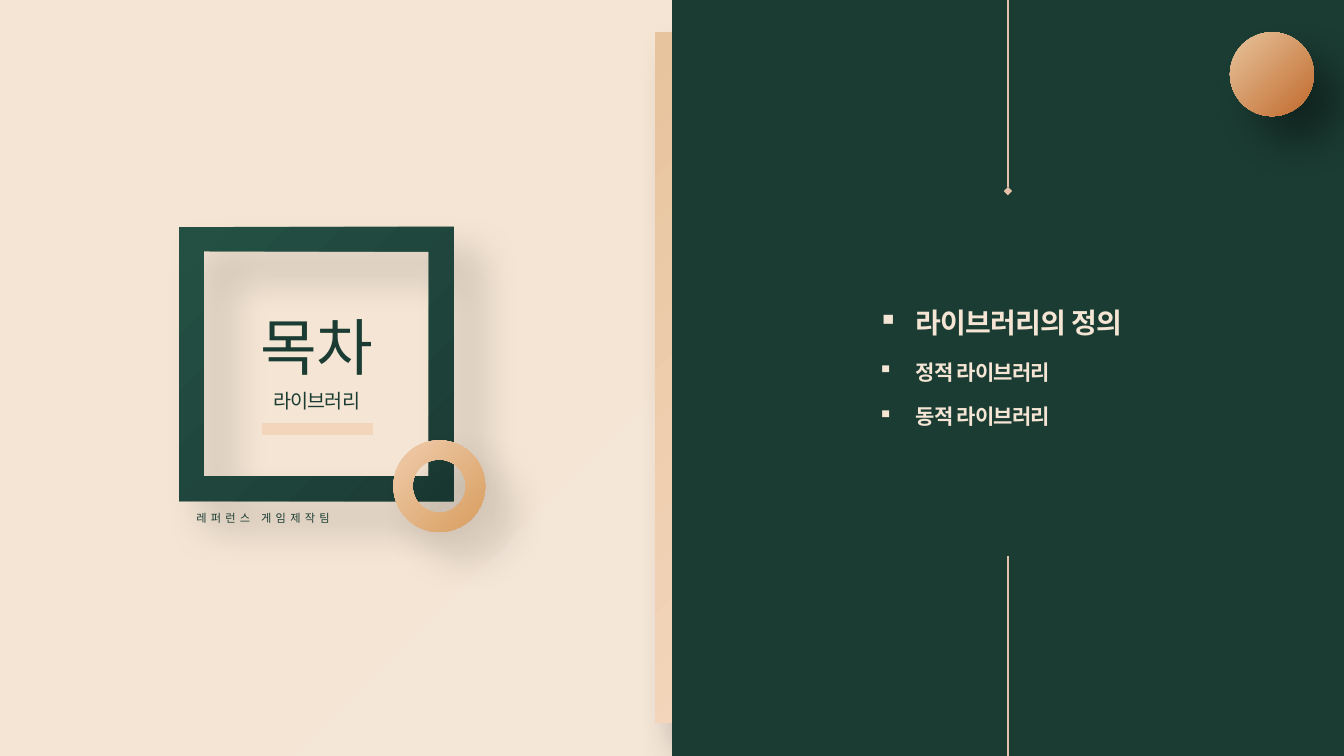
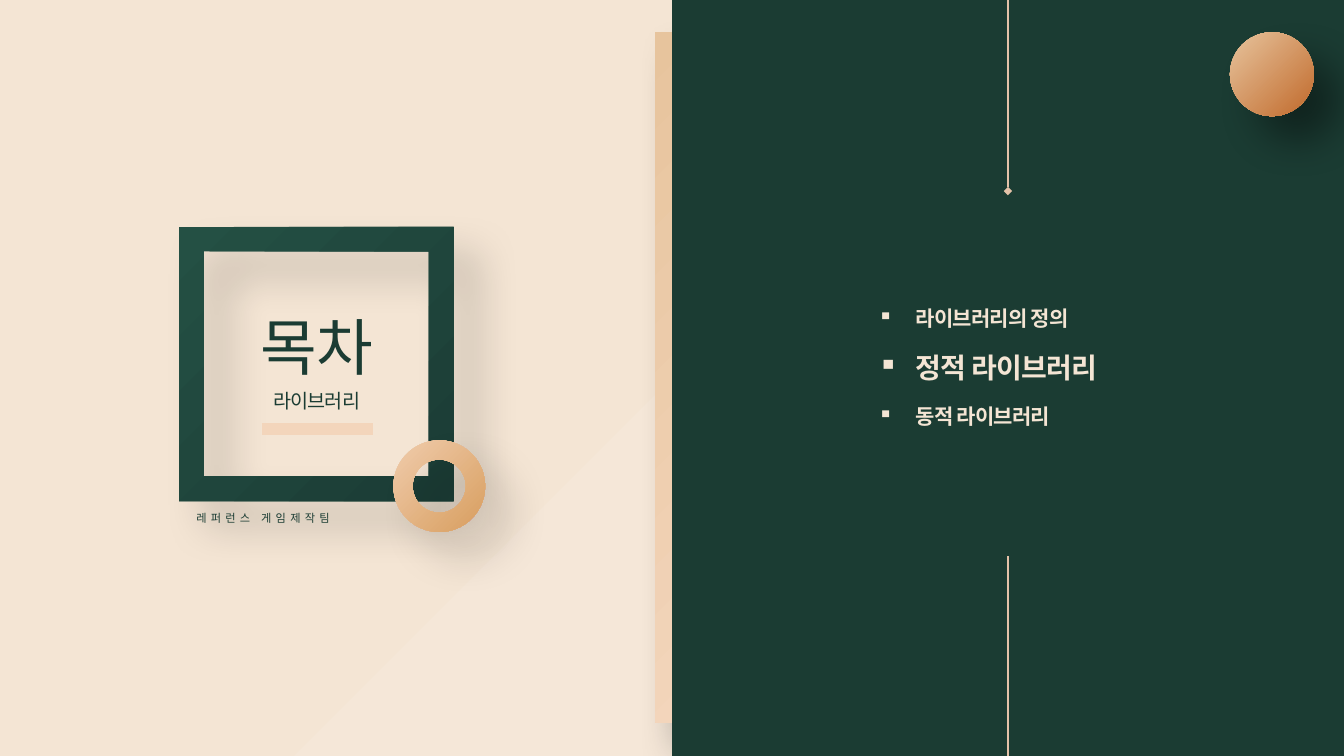
from dataclasses import dataclass

from pptx import Presentation
from pptx.dml.color import RGBColor
from pptx.enum import shapes, text
from pptx.oxml import ns, xmlchemy
from pptx.util import Pt


@dataclass(frozen=True)
class Theme:
    font: str = "Noto Sans CJK KR"
    paper: tuple = ("F5E7D8", "F4E5D4")
    panel: tuple = ("1B3C35", "1B3C33")
    spine: tuple = ("E7C49D", "F3D5BB")
    frame: tuple = ("245044", "1B3C35")
    ring: tuple = ("F0CCAC", "D89E5F")
    ball: tuple = ("E7C49D", "C16A2C")
    dark: str = "1B3C33"
    light: str = "F4E5D4"
    rule: str = "E4C2A9"
    underline: str = "F3D5BB"
    caption_size: int = 8
    subtitle_size: int = 14
    title_size: int = 44
    item_size: int = 15
    current_size: int = 20
    strong_shadow: int = 40
    soft_shadow: int = 17


THEME = Theme()
WIDTH, HEIGHT = 960, 540
TOPICS = ("라이브러리의 정의", "정적 라이브러리", "동적 라이브러리")


def add_xml(parent, tag, **attributes):
    child = xmlchemy.OxmlElement(tag)
    for name, value in attributes.items():
        child.set(name, str(value))
    parent.append(child)
    return child


def set_gradient(fill, owner, colors, radial=False):
    """Blend two colours to the lower right, or around that corner if radial."""
    fill.gradient()
    fill.gradient_angle = 315
    for stop, color in zip(fill.gradient_stops, colors):
        stop.color.rgb = RGBColor.from_string(color)
    if radial:
        linear = next(owner.iter(ns.qn("a:lin")))
        gradient = linear.getparent()
        gradient.remove(linear)
        circle = add_xml(gradient, "a:path", path="circle")
        add_xml(circle, "a:fillToRect", l=100000, t=100000)


def add_shadow(shape, opacity):
    effects = shape._element.spPr.find(ns.qn("a:effectLst"))
    shadow = add_xml(effects, "a:outerShdw", blurRad=Pt(30), dist=Pt(26),
                     dir=45 * 60000, algn="tl", rotWithShape=0)
    color = add_xml(shadow, "a:srgbClr", val="000000")
    add_xml(color, "a:alpha", val=opacity * 1000)


def add_gradient_shape(slide, kind, box, colors, opacity=0, adjustment=None,
                       radial=False):
    shape = slide.shapes.add_shape(kind, *map(Pt, box))
    shape.shadow.inherit = False
    shape.line.fill.background()
    set_gradient(shape.fill, shape._element, colors, radial)
    if adjustment is not None:
        shape.adjustments[0] = adjustment
    if opacity:
        add_shadow(shape, opacity)


def add_line(slide, start, end, color, width, diamond=False):
    line = slide.shapes.add_connector(
        shapes.MSO_CONNECTOR.STRAIGHT, *map(Pt, start + end))
    line.line.color.rgb = RGBColor.from_string(color)
    line.line.width = Pt(width)
    if diamond:
        add_xml(line.line._get_or_add_ln(), "a:tailEnd", type="diamond")
    add_xml(line._element.spPr, "a:effectLst")


def add_text_frame(slide, box, inset=True):
    frame = slide.shapes.add_textbox(*map(Pt, box)).text_frame
    frame.word_wrap = True
    frame.vertical_anchor = text.MSO_ANCHOR.MIDDLE
    if not inset:
        frame.margin_left = frame.margin_right = 0
        frame.margin_top = frame.margin_bottom = 0
    return frame


def write(paragraph, words, *, size, color, bold=False, tracking=-0.6):
    run = paragraph.add_run()
    run.text = words
    run.font.size = Pt(size)
    run.font.bold = bold
    run.font.name = THEME.font
    run.font.color.rgb = RGBColor.from_string(color)
    properties = run.font._element
    properties.set("spc", str(round(tracking * 100)))
    add_xml(properties, "a:ea", typeface=THEME.font)


def add_label(slide, box, words, inset=False, **style):
    paragraph = add_text_frame(slide, box, inset).paragraphs[0]
    paragraph.alignment = text.PP_ALIGN.CENTER
    paragraph.line_spacing = 1.2
    write(paragraph, words, color=THEME.dark, **style)


def add_topics(slide, current):
    frame = add_text_frame(slide, (620, 16, 212, 493))
    for index, topic in enumerate(TOPICS):
        paragraph = frame.add_paragraph() if index else frame.paragraphs[0]
        paragraph.space_before = Pt(14 if index else 0)
        properties = paragraph._p.get_or_add_pPr()
        properties.set("marL", str(Pt(27)))
        properties.set("indent", str(Pt(-27)))
        add_xml(properties, "a:buChar", char="▪")
        size = THEME.current_size if index == current else THEME.item_size
        write(paragraph, topic, size=size, color=THEME.light, bold=True)


def add_backdrop(slide):
    preset = shapes.MSO_SHAPE
    add_gradient_shape(slide, preset.RECTANGLE, (468, 23, 27, 493),
                       THEME.spine, THEME.strong_shadow)
    add_gradient_shape(slide, preset.RECTANGLE,
                       (WIDTH / 2, 0, WIDTH / 2, HEIGHT),
                       THEME.panel, radial=True)
    add_gradient_shape(slide, preset.FRAME, (128, 162, 196, 196),
                       THEME.frame, THEME.soft_shadow, 0.09)
    add_gradient_shape(slide, preset.DONUT, (281, 314.5, 65.5, 65.5),
                       THEME.ring, THEME.soft_shadow, 0.21)
    add_gradient_shape(slide, preset.OVAL, (878.5, 23, 60, 60),
                       THEME.ball, THEME.strong_shadow)
    center = WIDTH * 3 / 4
    add_line(slide, (center, 0), (center, 136.5), THEME.rule, 0.75, diamond=True)
    add_line(slide, (center, 397.5), (center, HEIGHT), THEME.rule, 0.75)


def add_title(slide):
    add_label(slide, (113, 359.5, 150, 18.5), "레퍼런스 게임제작팀",
              inset=True, size=THEME.caption_size, tracking=3)
    add_label(slide, (128, 219.5, 196.5, 44.5), "목차", size=THEME.title_size)
    add_label(slide, (128, 272, 196.5, 24.5), "라이브러리",
              size=THEME.subtitle_size)
    add_line(slide, (187, 306.5), (266.5, 306.5), THEME.underline, 8)


def main():
    presentation = Presentation()
    presentation.slide_width, presentation.slide_height = Pt(WIDTH), Pt(HEIGHT)
    master = presentation.slide_master
    set_gradient(master.background.fill, master.element, THEME.paper, radial=True)
    for current in range(2):
        slide = presentation.slides.add_slide(presentation.slide_layouts[6])
        add_backdrop(slide)
        add_title(slide)
        add_topics(slide, current)
    presentation.save("out.pptx")


if __name__ == "__main__":
    main()
